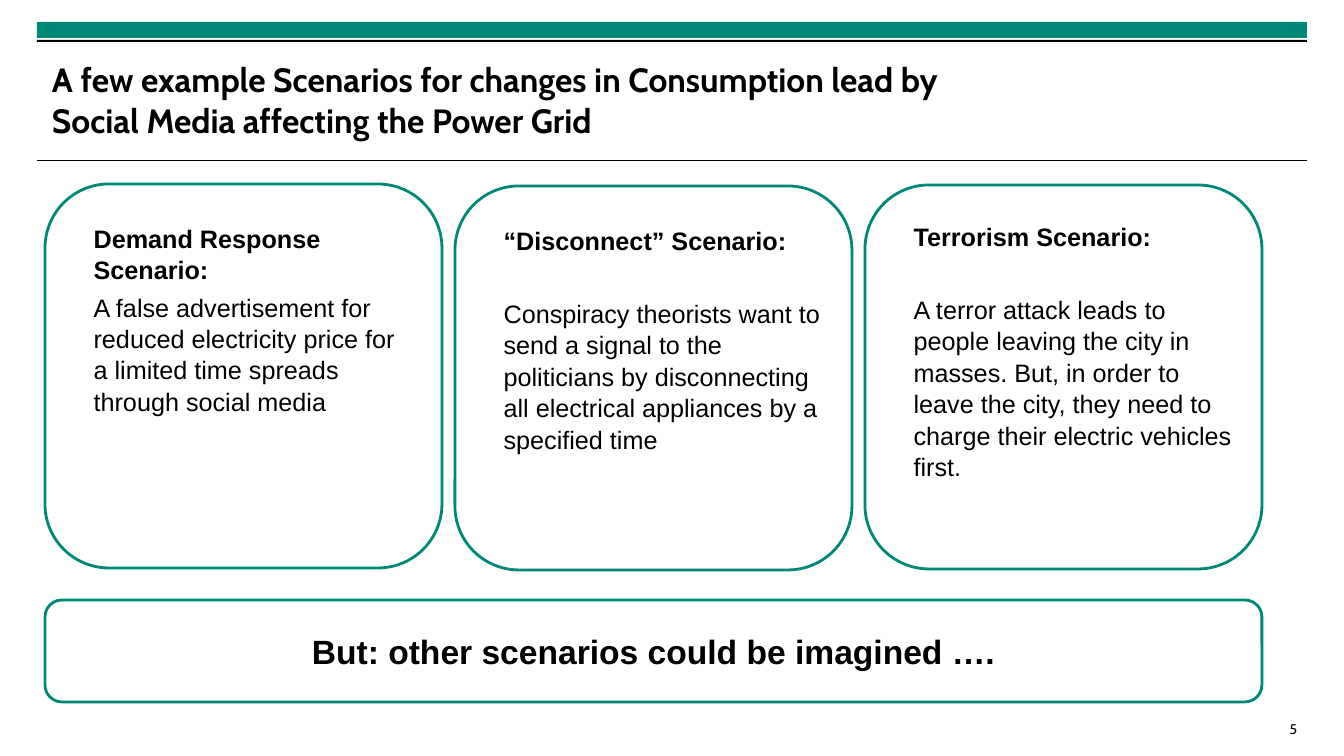
from pptx import Presentation, util as u
from pptx.dml.color import RGBColor
from pptx.enum import shapes as s, text as t
from lxml import etree

TEAL = RGBColor(0x00, 0x88, 0x77)
BLACK = RGBColor(0, 0, 0)
WHITE = RGBColor(255, 255, 255)
BODY, HEAD = "Arial", "Cabin"
SCALE = 12192000 / 1344
A_NS = "http://schemas.openxmlformats.org/drawingml/2006/main"

# top edge, upper text margin, space under heading (pt), heading, body
CARDS = [
    (184, 19, 2.3, "Demand Response Scenario:",
     "A false advertisement for reduced electricity price for a limited "
     "time spreads through social media"),
    (186, 19, 28, "“Disconnect” Scenario:",
     "Conspiracy theorists want to send a signal to the politicians by "
     "disconnecting all electrical appliances by a specified time"),
    (185, 16, 28, "Terrorism Scenario:",
     "A terror attack leads to people leaving the city in masses. But, in "
     "order to leave the city, they need to charge their electric vehicles "
     "first."),
]


def px(n):
    return u.Emu(round(n * SCALE))


def write(par, words, size=18, font=BODY, bold=False, align=t.PP_ALIGN.LEFT,
          before=0, after=0, space=1.0, indent=0):
    par.alignment = align
    par.space_before, par.space_after = u.Pt(before), u.Pt(after)
    par.line_spacing = space
    if indent:
        props = par._p.get_or_add_pPr()
        props.set("marL", str(px(indent)))
        props.set("indent", "0")
    run = par.add_run()
    run.text = words
    run.font.size, run.font.name, run.font.bold = u.Pt(size), font, bold
    run.font.color.rgb = BLACK


def box(slide, kind, x, y, w, h, fill, line=None):
    shape = slide.shapes.add_shape(kind, px(x), px(y), px(w), px(h))
    shape.shadow.inherit = False
    shape.fill.solid()
    shape.fill.fore_color.rgb = fill
    if line is None:
        shape.line.fill.background()
    else:
        shape.line.color.rgb = line
        shape.line.width = u.Pt(2)
    return shape


def panel(slide, x, y, w, h):
    """Add a white rounded box with a teal edge."""
    return box(slide, s.MSO_SHAPE.ROUNDED_RECTANGLE, x, y, w, h, WHITE, TEAL)


def rule(slide, x, y, w):
    line = slide.shapes.add_connector(
        s.MSO_CONNECTOR.STRAIGHT, px(x), px(y), px(x + w), px(y))
    line.line.color.rgb = BLACK
    line.line.width = u.Pt(0.6)
    etree.SubElement(line._element.spPr, f"{{{A_NS}}}effectLst")


def title(slide, words):
    head = slide.shapes.title
    head.left, head.top, head.width, head.height = map(px, (52, 53, 977, 93))
    frame = head.text_frame
    frame.auto_size = t.MSO_AUTO_SIZE.NONE
    frame.word_wrap = True
    frame.vertical_anchor = t.MSO_ANCHOR.MIDDLE
    frame.margin_left = frame.margin_right = 0
    frame.margin_top = frame.margin_bottom = 0
    write(frame.paragraphs[0], words, size=24, font=HEAD, bold=True)


def card(slide, x, y, inset, gap, head, body):
    frame = panel(slide, x, y, 397, 384).text_frame
    frame.word_wrap = True
    frame.vertical_anchor = t.MSO_ANCHOR.TOP
    frame.margin_top = px(inset)
    look = dict(before=2, space=1.04, indent=20)
    write(frame.paragraphs[0], head, bold=True, after=gap, **look)
    write(frame.add_paragraph(), body, after=2.3, **look)


def banner(slide, words):
    frame = panel(slide, 45, 600, 1217, 102).text_frame
    frame.word_wrap = True
    frame.vertical_anchor = t.MSO_ANCHOR.MIDDLE
    write(frame.paragraphs[0], words, size=24, bold=True,
          align=t.PP_ALIGN.CENTER)


def number(slide, words):
    frame = slide.shapes.add_textbox(
        px(249), px(716), px(1058), px(25)).text_frame
    frame.word_wrap = True
    write(frame.paragraphs[0], words, size=10, font=HEAD,
          align=t.PP_ALIGN.RIGHT)


def main():
    deck = Presentation()
    deck.slide_width, deck.slide_height = px(1344), px(756)
    slide = deck.slides.add_slide(deck.slide_layouts[5])
    rect = s.MSO_SHAPE.RECTANGLE
    box(slide, rect, 37, 22, 1270, 16, TEAL)
    rule(slide, 37, 160, 1270)
    box(slide, rect, 37, 40, 1270, 2, BLACK)
    number(slide, "5")
    title(slide, "A few example Scenarios for changes in Consumption lead by "
                 "Social Media affecting the Power Grid")
    for i, (y, *rest) in enumerate(CARDS):
        card(slide, 45 + 410 * i, y, *rest)
    banner(slide, "But: other scenarios could be imagined ….")
    deck.save("out.pptx")


if __name__ == "__main__":
    main()
